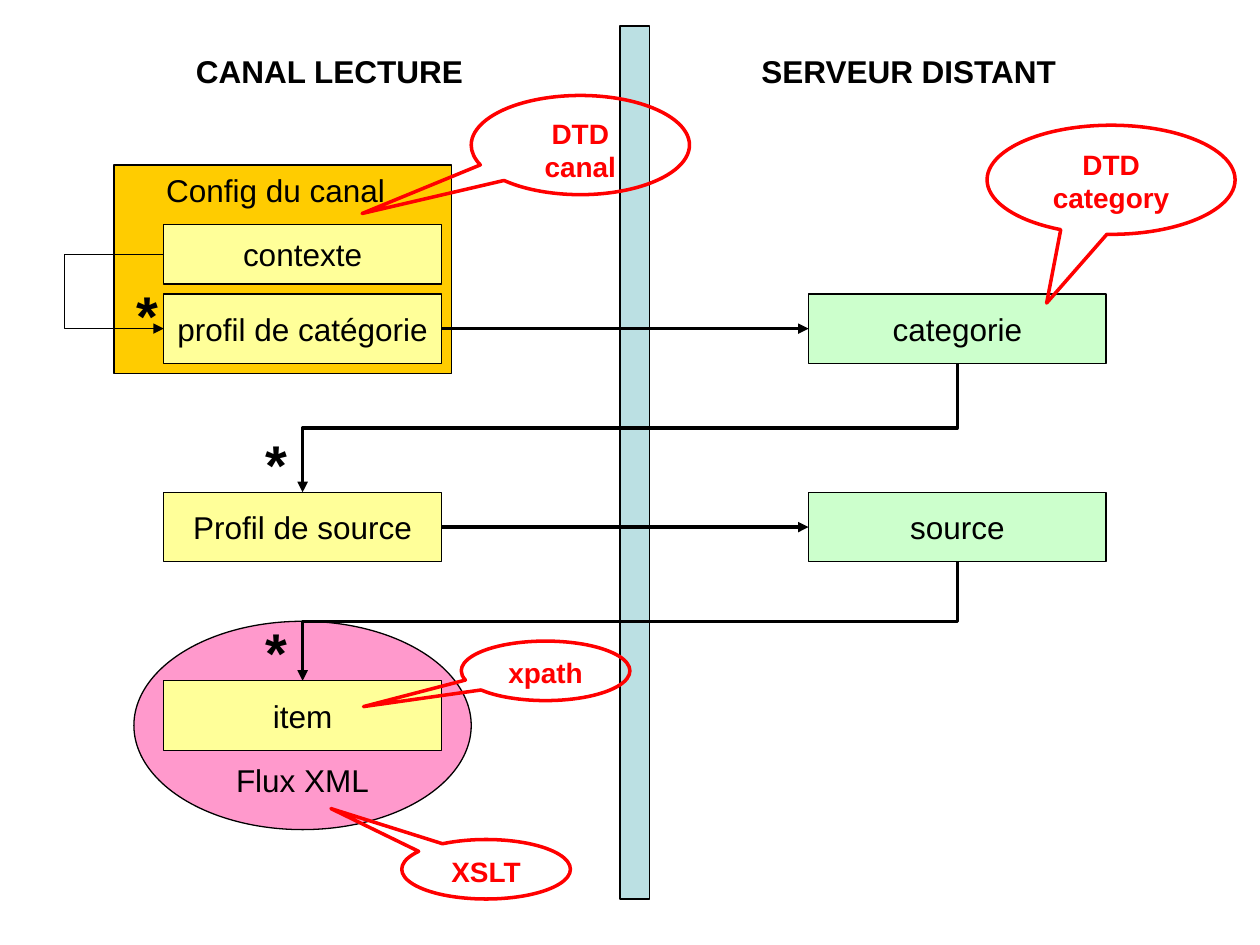
from dataclasses import dataclass

from lxml import etree
from pptx import Presentation
from pptx.dml.color import RGBColor
from pptx.enum.shapes import MSO_CONNECTOR as Link, MSO_SHAPE as Shape
from pptx.enum.text import MSO_ANCHOR as Anchor, PP_ALIGN as Align
from pptx.oxml.ns import qn
from pptx.util import Inches, Pt


@dataclass(frozen=True)
class Theme:
    font: str = "Arial"
    ink: str = "000000"
    alert: str = "FF0000"
    divider: str = "BBE0E3"
    config: str = "FFCC00"
    local: str = "FFFF99"
    remote: str = "CCFFCC"
    stream: str = "FF99CC"
    body: int = 18
    note: int = 16
    star: int = 32
    thin: float = 0.75
    thick: float = 2


class Diagram:
    """Places elements on a 254-column grid of square cells, 180 rows high, centred vertically."""

    def __init__(self, prs, theme):
        self.t = theme
        self.s = prs.slides.add_slide(prs.slide_layouts[6])
        self.cell = prs.slide_width / 254
        self.top = (prs.slide_height - 180 * self.cell) / 2

    def x(self, col):
        return round(col * self.cell)

    def y(self, row):
        return round(self.top + row * self.cell)

    def frame(self, col, row, cols, rows):
        return self.x(col), self.y(row), self.x(cols), self.x(rows)

    def set_text(self, tf, text, size, color, bold=False, align=Align.CENTER):
        tf.text = text
        p = tf.paragraphs[0]
        p.alignment = align
        for r in p.runs:
            r.font.name, r.font.size, r.font.bold = self.t.font, Pt(size), bold
            r.font.color.rgb = RGBColor.from_string(color)

    def shape(self, kind, cell, fill=None, line=None, width=None):
        sp = self.s.shapes.add_shape(kind, *self.frame(*cell))
        sp.shadow.inherit = False
        if fill:
            sp.fill.solid()
            sp.fill.fore_color.rgb = RGBColor.from_string(fill)
        else:
            sp.fill.background()
        sp.line.color.rgb = RGBColor.from_string(line or self.t.ink)
        sp.line.width = Pt(width or self.t.thin)
        return sp

    def box(self, cell, fill, text="", kind=Shape.RECTANGLE, anchor=Anchor.MIDDLE):
        sp = self.shape(kind, cell, fill)
        if text:
            tf = sp.text_frame
            tf.word_wrap, tf.vertical_anchor = False, anchor
            if anchor == Anchor.BOTTOM:
                tf.margin_bottom = 0
            self.set_text(tf, text, self.t.body, self.t.ink)
        return sp

    def callout(self, cell, text, tip):
        sp = self.shape(Shape.OVAL_CALLOUT, cell, line=self.t.alert, width=self.t.thick)
        sp.adjustments[0], sp.adjustments[1] = tip
        tf = sp.text_frame
        tf.word_wrap, tf.vertical_anchor = True, Anchor.TOP
        self.set_text(tf, text, self.t.note, self.t.alert, bold=True)

    def label(self, cell, text, size=None, bold=True, wrap=True):
        tf = self.s.shapes.add_textbox(*self.frame(*cell)).text_frame
        tf.word_wrap = wrap
        self.set_text(tf, text, size or self.t.body, self.t.ink, bold, Align.LEFT)

    def star(self, col, row):
        self.label((col, row, 8, 16), "*", self.t.star)

    def connector(self, kind, start, end, width):
        c = self.s.shapes.add_connector(kind, *start, *end)
        c.line.color.rgb = RGBColor.from_string(self.t.ink)
        c.line.width = Pt(width)
        sp_pr = c.element.spPr
        etree.SubElement(sp_pr.find(qn("a:ln")), qn("a:tailEnd"), type="triangle")
        etree.SubElement(sp_pr, qn("a:effectLst"))
        return c

    def across(self, source, target):
        c = self.connector(Link.STRAIGHT, (0, 0), (0, 0), self.t.thick)
        c.begin_connect(source, 3)
        c.end_connect(target, 1)

    def down(self, source, target):
        """Elbow from a bottom side to a top side: a quarter turn about its centre."""
        x1, y1 = source.left + source.width // 2, source.top + source.height
        x2, y2 = target.left + target.width // 2, target.top
        mid_x, mid_y = (x1 + x2) // 2, (y1 + y2) // 2
        half_w, half_h = (x1 - x2) // 2, (y2 - y1) // 2
        c = self.connector(Link.ELBOW, (mid_x - half_h, mid_y - half_w),
                           (mid_x + half_h, mid_y + half_w), self.t.thick)
        c.element.spPr.find(qn("a:xfrm")).set("rot", str(90 * 60000))

    def loop(self, source, target, cols):
        """Elbow between two left sides, bulging left by the given columns."""
        span = 360  # the bulge is a multiple of the width, so it cannot be zero
        start, end = ((b.left, b.top + b.height // 2) for b in (source, target))
        c = self.connector(Link.ELBOW, start, (end[0] + span, end[1]), self.t.thin)
        bulge = -round(self.x(cols) / span * 100000)
        guides = c.element.spPr.find(qn("a:prstGeom")).find(qn("a:avLst"))
        etree.SubElement(guides, qn("a:gd"), name="adj1", fmla=f"val {bulge}")


def main():
    prs = Presentation()
    prs.slide_width, prs.slide_height = Inches(10), Inches(7.5)
    t = Theme()
    d = Diagram(prs, t)
    left, right, wide = 33, 163, 56

    # Backdrop: XML stream, divider, headings
    d.box((27, 120, 68, 42), t.stream, "Flux XML", Shape.OVAL, Anchor.BOTTOM)
    d.box((125, 0, 6, 176), t.divider)
    d.label((37, 4, 59, 10), "CANAL LECTURE", wrap=False)
    d.label((151, 4, 65, 10), "SERVEUR DISTANT", wrap=False)

    # Channel configuration
    d.box((23, 28, 68, 42), t.config)
    d.label((31, 28, 52, 10), "Config du canal", bold=False)
    context = d.box((left, 40, wide, 12), t.local, "contexte")

    # Boxes on both sides
    profile, feed, item = (
        d.box((left, row, wide, 14), t.local, text)
        for row, text in ((54, "profil de catégorie"), (94, "Profil de source"), (132, "item")))
    category, source = (
        d.box((right, row, 60, 14), t.remote, text)
        for row, text in ((54, "categorie"), (94, "source")))

    # Flow
    d.loop(context, profile, 10)
    d.across(profile, category)
    d.down(category, feed)
    d.across(feed, source)
    d.down(source, item)

    # Multiplicity marks
    for col, row in ((51, 80), (51, 118), (25, 50)):
        d.star(col, row)

    # Callouts
    for cell, text, tip in (
            ((199, 20, 50, 22), "DTD category", (-0.26, 1.13)),
            ((81, 164, 34, 12), "XSLT", (-0.92, -1.02)),
            ((95, 14, 44, 20), "DTD canal", (-1, 0.69)),
            ((93, 124, 34, 12), "xpath", (-1.08, 0.6))):
        d.callout(cell, text, tip)

    prs.save("out.pptx")


if __name__ == "__main__":
    main()
